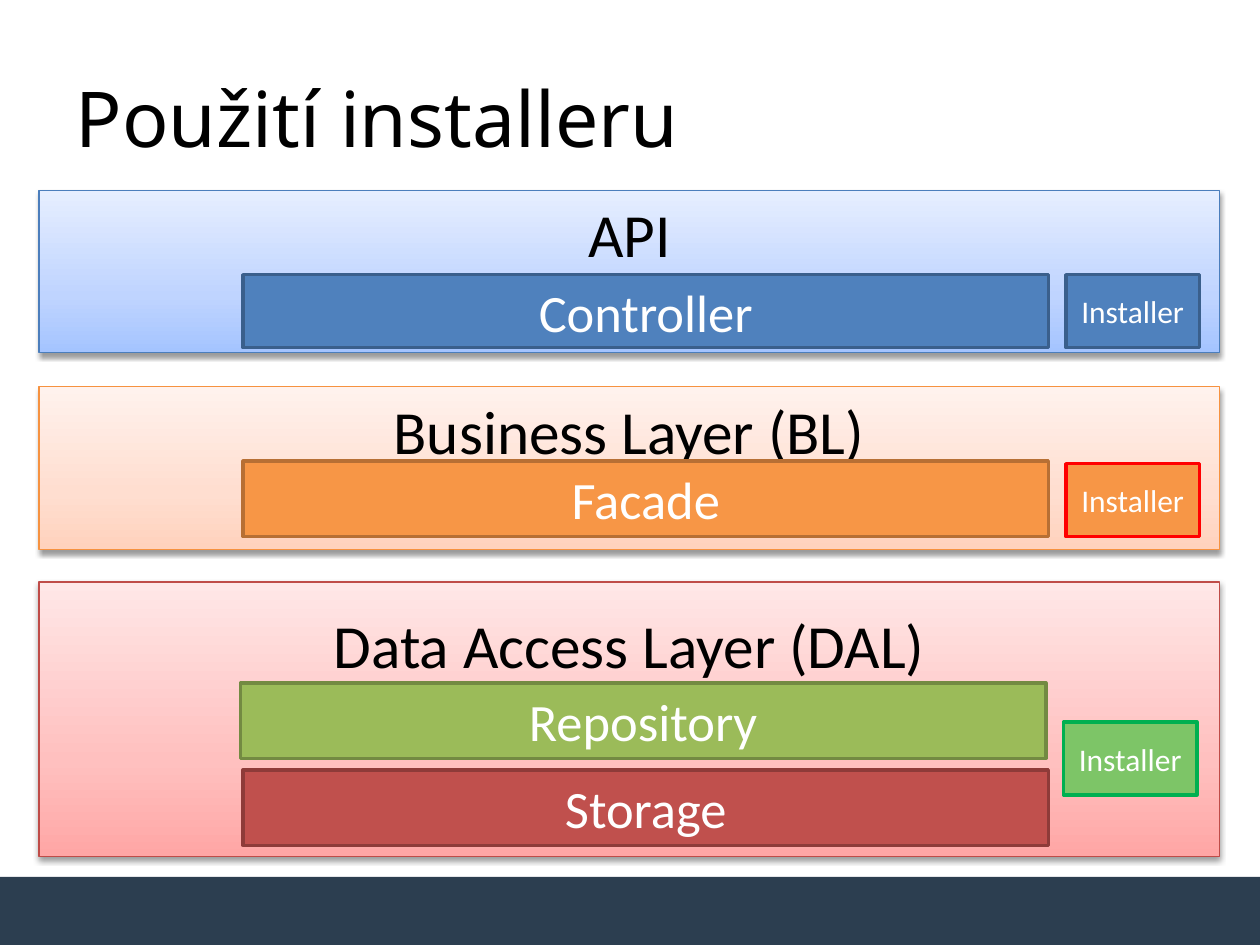
from copy import deepcopy
from dataclasses import dataclass

from pptx import Presentation
from pptx.dml import color as col
from pptx.enum import shapes as sh, text as tx
from pptx.oxml import ns, parse_xml
from pptx.util import Inches, Pt


@dataclass(frozen=True)
class Theme:
    font: str = "Calibri"
    head: str = "Noto Sans"
    dark: str = "000000"
    light: str = "FFFFFF"
    foot: str = "2C3E50"
    title: int = 44
    layer: int = 35
    large: int = 30
    small: int = 18


@dataclass(frozen=True)
class Layer:
    name: str
    top: float
    high: float
    inset: float
    line: str
    stops: tuple[str, str, str]


@dataclass(frozen=True)
class Box:
    name: str
    left: float
    top: float
    wide: float
    high: float
    size: int
    fill: str
    line: str


THEME = Theme()
MAIN, SIDE = 6.39, 1.06
SHADE = (
    f'<a:outerShdw {ns.nsdecls("a")} blurRad="{Pt(3.1)}" dist="{Pt(1.6)}" '
    'dir="5400000" rotWithShape="0"><a:srgbClr val="000000">'
    '<a:alpha val="38000"/></a:srgbClr></a:outerShdw>'
)

LAYERS = [
    Layer("Data Access Layer (DAL)", 4.62, 2.18, 0.2, "BF4C48",
          ("FFA6A5", "FFC0BF", "FFE7E7")),
    Layer("Business Layer (BL)", 3.07, 1.29, 0.05, "F69240",
          ("FFD2BD", "FFDED0", "FFF2ED")),
    Layer("API", 1.51, 1.29, 0.05, "4B7EBC",
          ("A4C4FF", "BFD4FF", "E6EEFF")),
]
BOXES = [
    Box("Controller", 1.93, 2.18, MAIN, 0.58, THEME.large, "4F81BD", "3A5F8C"),
    Box("Facade", 1.93, 3.66, MAIN, 0.6, THEME.large, "F79646", "B76F34"),
    Box("Repository", 1.91, 5.42, MAIN, 0.6, THEME.large, "9BBB59", "738A42"),
    Box("Storage", 1.93, 6.11, MAIN, 0.6, THEME.large, "C0504D", "8E3B39"),
    Box("Installer", 8.46, 2.18, SIDE, 0.58, THEME.small, "4F81BD", "3A5F8C"),
    Box("Installer", 8.46, 3.68, SIDE, 0.58, THEME.small, "F79646", "FF0000"),
    Box("Installer", 8.44, 5.73, SIDE, 0.58, THEME.small, "7DC567", "00B050"),
]


def rgb(code: str) -> col.RGBColor:
    return col.RGBColor.from_string(code)


def add_rect(slide, left: float, top: float, wide: float, high: float):
    rect = slide.shapes.add_shape(
        sh.MSO_SHAPE.RECTANGLE,
        Inches(left), Inches(top), Inches(wide), Inches(high))
    rect.shadow.inherit = False
    return rect


def set_fill(shape, code: str) -> None:
    shape.fill.solid()
    shape.fill.fore_color.rgb = rgb(code)


def set_line(shape, code: str, width: float) -> None:
    shape.line.color.rgb = rgb(code)
    shape.line.width = Pt(width)


def set_text(shape, words: str, size: int, ink: str, font: str = THEME.font,
             align=tx.PP_ALIGN.CENTER, anchor=tx.MSO_ANCHOR.MIDDLE) -> None:
    frame = shape.text_frame
    frame.text = words
    frame.word_wrap = True
    frame.auto_size = tx.MSO_AUTO_SIZE.NONE
    frame.vertical_anchor = anchor
    para = frame.paragraphs[0]
    para.alignment = align
    face = para.runs[0].font
    face.name, face.size = font, Pt(size)
    face.color.rgb = rgb(ink)


def set_fade(shape, codes: tuple[str, str, str]) -> None:
    fill = shape.fill
    fill.gradient()
    fill.gradient_angle = 90
    stops = shape.element.spPr.find(".//" + ns.qn("a:gsLst"))
    stops.insert(1, deepcopy(stops[0]))
    for stop, place, code in zip(fill.gradient_stops, (0, 0.35, 1), codes):
        stop.position = place
        stop.color.rgb = rgb(code)


def draw_layer(slide, layer: Layer) -> None:
    rect = add_rect(slide, 0.31, layer.top, 9.37, layer.high)
    set_fade(rect, layer.stops)
    set_line(rect, layer.line, 0.75)
    rect.element.spPr.find(ns.qn("a:effectLst")).append(parse_xml(SHADE))
    set_text(rect, layer.name, THEME.layer, THEME.dark,
             anchor=tx.MSO_ANCHOR.TOP)
    rect.text_frame.margin_top = Inches(layer.inset)


def draw_box(slide, box: Box) -> None:
    rect = add_rect(slide, box.left, box.top, box.wide, box.high)
    set_fill(rect, box.fill)
    set_line(rect, box.line, 2)
    set_text(rect, box.name, box.size, THEME.light)


def main() -> None:
    deck = Presentation()
    deck.slide_width, deck.slide_height = Inches(10), Inches(7.5)
    slide = deck.slides.add_slide(deck.slide_layouts[5])

    # Title
    title = slide.shapes.title
    title.left, title.top = Inches(0.5), Inches(0.3)
    title.width, title.height = Inches(9), Inches(1.25)
    set_text(title, "Použití installeru", THEME.title, THEME.dark,
             THEME.head, tx.PP_ALIGN.LEFT)

    # Footer band
    foot = add_rect(slide, 0, 6.96, 10, 0.54)
    set_fill(foot, THEME.foot)
    foot.line.fill.background()

    # Layers, then the boxes inside them
    for layer in LAYERS:
        draw_layer(slide, layer)
    for box in BOXES:
        draw_box(slide, box)

    deck.save("out.pptx")


main()
